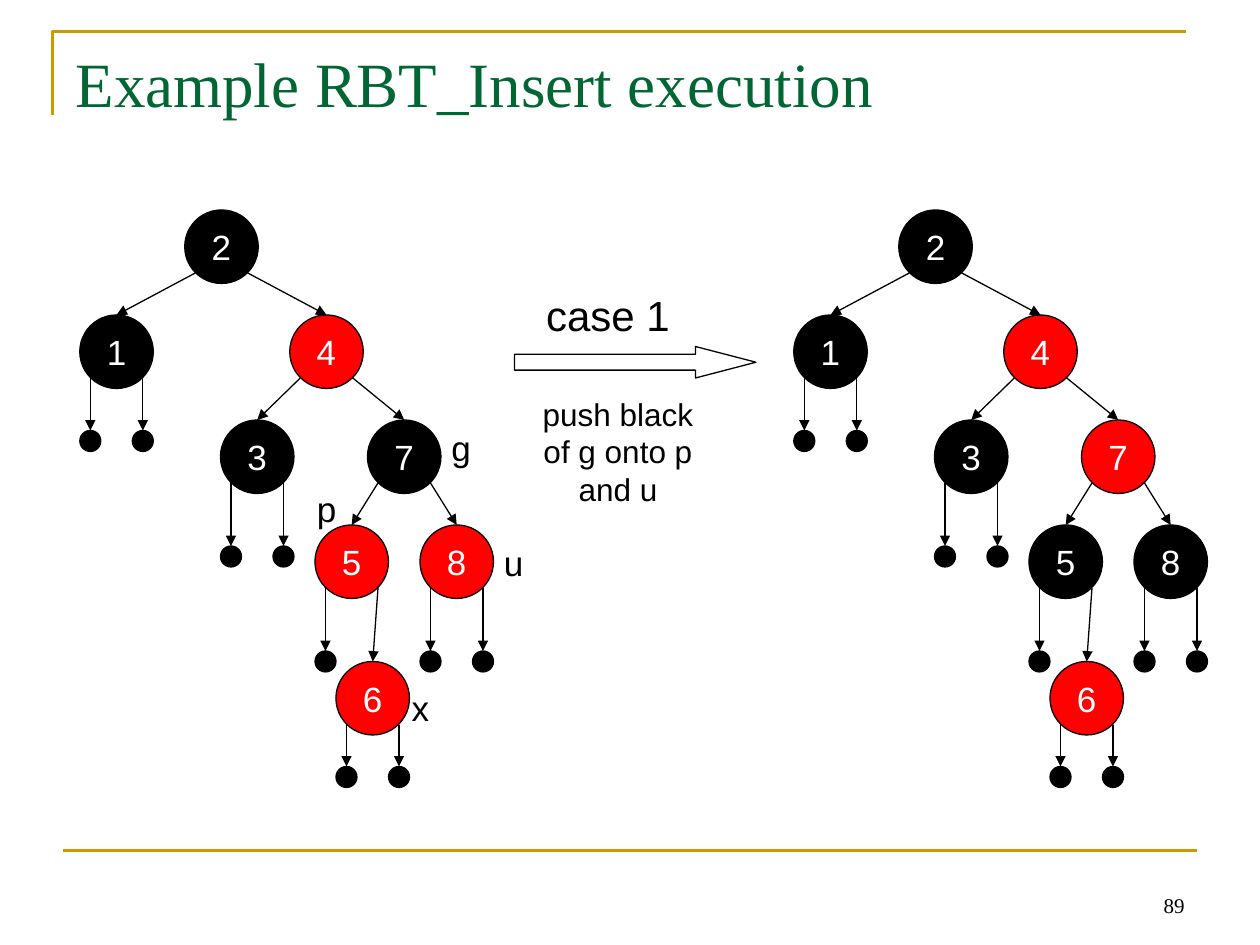
from dataclasses import dataclass
from lxml.etree import SubElement
from pptx import Presentation
from pptx.dml.color import RGBColor
from pptx.enum.shapes import MSO_CONNECTOR, MSO_SHAPE
from pptx.enum.text import MSO_ANCHOR, MSO_AUTO_SIZE, PP_ALIGN
from pptx.oxml.ns import qn
from pptx.util import Emu, Pt

SCALE = 7620
BLACK = RGBColor(0x00, 0x00, 0x00)
RED = RGBColor(0xFF, 0x01, 0x01)
WHITE = RGBColor(0xFF, 0xFF, 0xFF)
GOLD = RGBColor(0xCC, 0x99, 0x00)
GREEN = RGBColor(0x00, 0x66, 0x33)
SANS = "Arial"
SERIF = "Times New Roman"
NODE = 70
LEAF = 20
REACH = 25


@dataclass
class Node:
    key: str
    x: int
    y: int
    drop: int = 0
    left: str = ""
    right: str = ""


@dataclass
class Label:
    text: str
    x: int
    y: int
    wide: int
    high: int
    size: int = 20
    font: str = SANS
    align: PP_ALIGN = PP_ALIGN.CENTER
    anchor: MSO_ANCHOR = MSO_ANCHOR.TOP
    wrap: bool = False


TREE = [
    Node("2", 211, 235, left="1", right="4"),
    Node("1", 111, 335, 75),
    Node("4", 311, 335, left="3", right="7"),
    Node("3", 245, 435, 85),
    Node("7", 385, 435, left="5", right="8"),
    Node("5", 335, 535, 85, right="6"),
    Node("8", 435, 535, 85),
    Node("6", 355, 665, 65),
]
TREES = [(0, "4586"), (680, "476")]
LABELS = [
    Label("case 1", 508, 270, 142, 60, 24),
    Label("push black\nof g onto p\nand u", 505, 370, 167, 120, 18),
    Label("x", 380, 648, 41, 53),
    Label("u", 468, 510, 42, 53),
    Label("g", 418, 400, 42, 53),
    Label("p", 290, 458, 42, 53),
    Label("89", 860, 820, 280, 60, 12, SERIF, PP_ALIGN.RIGHT, MSO_ANCHOR.BOTTOM, True),
]


def px(*nums: int) -> list[Emu]:
    return [Emu(num * SCALE) for num in nums]


def stroke(shape, color: RGBColor, width: float) -> None:
    shape.line.color.rgb = color
    shape.line.width = Pt(width)


def style(para, size: int, font: str, color: RGBColor, align: PP_ALIGN) -> None:
    para.alignment = align
    para.font.size = Pt(size)
    para.font.name = font
    para.font.color.rgb = color


def link(slide, x: int, y: int, end_x: int, end_y: int, color=BLACK, width=0.75):
    line = slide.shapes.add_connector(MSO_CONNECTOR.STRAIGHT, *px(x, y, end_x, end_y))
    stroke(line, color, width)
    SubElement(line._element.spPr, qn("a:effectLst"))
    return line


def point(slide, x: int, y: int, child) -> None:
    line = link(slide, x, y, x, y)
    line.end_connect(child, 0)
    SubElement(line.line._get_or_add_ln(), qn("a:tailEnd"), type="triangle")


def disc(slide, x: int, y: int, size: int, color: RGBColor):
    half = size // 2
    shape = slide.shapes.add_shape(MSO_SHAPE.OVAL, *px(x - half, y - half, size, size))
    shape.shadow.inherit = False
    shape.fill.solid()
    shape.fill.fore_color.rgb = color
    stroke(shape, BLACK, 0.75)
    return shape


def draw_tree(slide, shift: int, reds: str) -> None:
    discs = {}
    for node in TREE:
        color = RED if node.key in reds else BLACK
        shape = disc(slide, node.x + shift, node.y, NODE, color)
        frame = shape.text_frame
        frame.word_wrap = False
        frame.vertical_anchor = MSO_ANCHOR.MIDDLE
        frame.text = node.key
        style(frame.paragraphs[0], 20, SANS, WHITE, PP_ALIGN.CENTER)
        discs[node.key] = shape
    for node in TREE:
        for side, key in ((-REACH, node.left), (REACH, node.right)):
            x = node.x + shift + side
            child = discs.get(key)
            if child is None:
                child = disc(slide, x, node.y + node.drop + LEAF // 2, LEAF, BLACK)
            point(slide, x, node.y + REACH, child)


def draw_label(slide, label: Label) -> None:
    box = slide.shapes.add_textbox(*px(label.x, label.y, label.wide, label.high))
    frame = box.text_frame
    frame.word_wrap = label.wrap
    frame.vertical_anchor = label.anchor
    frame.text = label.text
    for para in frame.paragraphs:
        style(para, label.size, label.font, BLACK, label.align)


def draw_frame(slide) -> None:
    path = slide.shapes.build_freeform(50, 110, scale=SCALE)
    path.add_line_segments([(50, 30), (1130, 30)], close=False)
    shape = path.convert_to_shape()
    shape.shadow.inherit = False
    shape.fill.background()
    stroke(shape, GOLD, 1.5)
    link(slide, 60, 810, 1140, 810, GOLD, 1.5)


def draw_title(slide) -> None:
    title = slide.shapes.title
    title.left, title.top, title.width, title.height = px(60, 36, 1080, 150)
    frame = title.text_frame
    frame.auto_size = MSO_AUTO_SIZE.NONE
    frame.vertical_anchor = MSO_ANCHOR.TOP
    frame.text = "Example RBT_Insert execution"
    style(frame.paragraphs[0], 36, SERIF, GREEN, PP_ALIGN.LEFT)


def draw_arrow(slide) -> None:
    arrow = slide.shapes.add_shape(MSO_SHAPE.RIGHT_ARROW, *px(490, 330, 230, 30))
    arrow.adjustments[0] = 0.5
    arrow.adjustments[1] = 1.92
    arrow.shadow.inherit = False
    arrow.fill.background()
    stroke(arrow, BLACK, 0.75)


def main() -> None:
    deck = Presentation()
    deck.slide_width, deck.slide_height = px(1200, 900)
    slide = deck.slides.add_slide(deck.slide_layouts[5])
    draw_frame(slide)
    draw_title(slide)
    for shift, reds in TREES:
        draw_tree(slide, shift, reds)
    draw_arrow(slide)
    for label in LABELS:
        draw_label(slide, label)
    deck.save("out.pptx")


if __name__ == "__main__":
    main()
